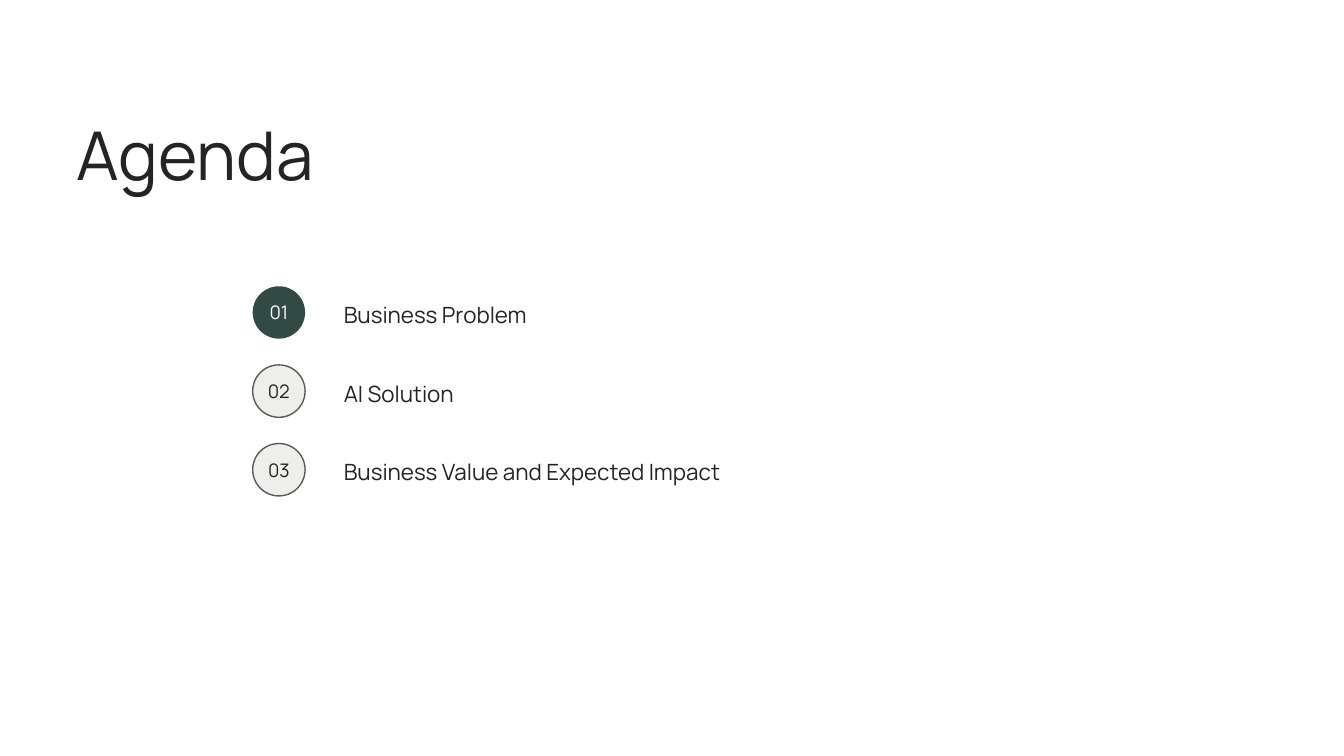
from dataclasses import dataclass

from pptx import Presentation
from pptx.dml.color import RGBColor
from pptx.enum.shapes import MSO_SHAPE
from pptx.enum.text import MSO_ANCHOR, PP_ALIGN
from pptx.util import Inches, Pt

OVAL = MSO_SHAPE.OVAL
TOP, MIDDLE = MSO_ANCHOR.TOP, MSO_ANCHOR.MIDDLE
LEFT, CENTER = PP_ALIGN.LEFT, PP_ALIGN.CENTER


@dataclass(frozen=True)
class Theme:
    font: str = "Manrope"
    ink: RGBColor = RGBColor(0x24, 0x24, 0x24)
    white: RGBColor = RGBColor(0xFF, 0xFF, 0xFF)
    green: RGBColor = RGBColor(0x31, 0x4A, 0x43)
    pale: RGBColor = RGBColor(0xEE, 0xEE, 0xEC)
    outline: RGBColor = RGBColor(0x59, 0x59, 0x59)
    title_size: Pt = Pt(36)
    item_size: Pt = Pt(12)
    number_size: Pt = Pt(10)


THEME = Theme()


def set_text(sp, text, size, color=THEME.ink, align=LEFT, anchor=MIDDLE,
             spacing=1.0, side_inset=0.1):
    tf = sp.text_frame
    tf.word_wrap = True
    tf.vertical_anchor = anchor
    tf.margin_left = tf.margin_right = Inches(side_inset)
    tf.margin_top = tf.margin_bottom = Inches(0.1)
    p = tf.paragraphs[0]
    p.text = text
    p.alignment = align
    p.line_spacing = spacing
    p.font.name = THEME.font
    p.font.size = size
    p.font.color.rgb = color


prs = Presentation()
prs.slide_width = Inches(10)
prs.slide_height = Inches(10 * 9 / 16)
s = prs.slides.add_slide(prs.slide_layouts[6])

title = s.shapes.add_textbox(Inches(0.47), Inches(0.86), Inches(3.28), Inches(0.69))
set_text(title, "Agenda", THEME.title_size, anchor=TOP, spacing=0.8)

items = ["Business Problem", "AI Solution", "Business Value and Expected Impact"]
first_top, last_top, diameter = 2.13, 3.3, Inches(0.39)
pitch = (last_top - first_top) / (len(items) - 1)

for i, item in enumerate(items):
    top = Inches(first_top + i * pitch)
    current = i == 0

    label = s.shapes.add_textbox(Inches(2.46), top, Inches(4.47), diameter)
    set_text(label, item, THEME.item_size, spacing=1.15)

    badge = s.shapes.add_shape(OVAL, Inches(1.88), top, diameter, diameter)
    badge.shadow.inherit = False
    badge.fill.solid()
    badge.fill.fore_color.rgb = THEME.green if current else THEME.pale
    if current:
        badge.line.fill.background()
    else:
        badge.line.color.rgb = THEME.outline
        badge.line.width = Pt(0.75)
    set_text(badge, f"{i + 1:02d}", THEME.number_size,
             color=THEME.white if current else THEME.ink,
             align=CENTER, side_inset=0.04)

prs.save("out.pptx")
